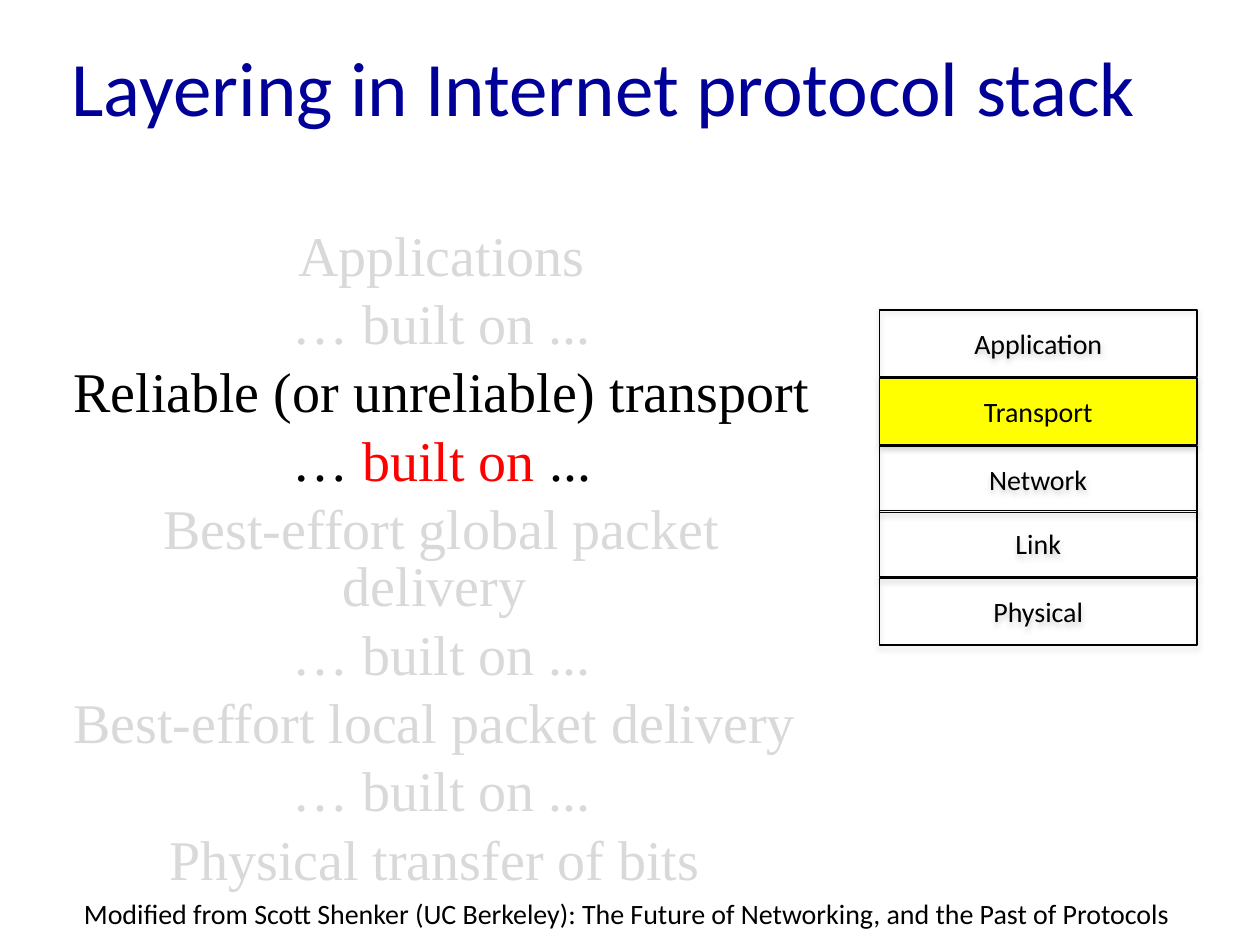
import pptx
import pptx.util
import pptx.dml.color
import pptx.enum.shapes
import pptx.enum.text
import pptx.oxml
from pptx.util import Inches

ALIGN = pptx.enum.text.PP_ALIGN
ANCHOR = pptx.enum.text.MSO_ANCHOR
SHADOW = (
    '<a:effectLst xmlns:a="http://schemas.openxmlformats.org/drawingml/2006/main">'
    '<a:outerShdw blurRad="39370" dist="22860" dir="5400000" rotWithShape="0">'
    '<a:srgbClr val="808080"><a:alpha val="35000"/></a:srgbClr>'
    '</a:outerShdw></a:effectLst>'
)


def rgb(color):
    return pptx.dml.color.RGBColor.from_string(color)


def add_run(p, text, size=16, font="Calibri", color="000000"):
    r = p.add_run()
    r.text = text
    r.font.size = pptx.util.Pt(size)
    r.font.name = font
    r.font.color.rgb = rgb(color)


prs = pptx.Presentation()
prs.slide_width, prs.slide_height = Inches(10), Inches(7.5)
s = prs.slides.add_slide(prs.slide_layouts[6])

title = s.shapes.add_textbox(Inches(0.47), Inches(0.12), Inches(9.25), Inches(1.12))
tf = title.text_frame
tf.word_wrap = True
tf.vertical_anchor = ANCHOR.MIDDLE
add_run(tf.paragraphs[0], "Layering in Internet protocol stack", size=44, color="000099")

GREY, BLACK, RED = "D9D9D9", "000000", "FF0000"
built_on = [("… built on ...", GREY)]
lines = [
    [("Applications", GREY)],
    built_on,
    [("Reliable (or unreliable) transport ", BLACK)],
    [("… ", BLACK), ("built on ", RED), ("...", BLACK)],
    [("Best-effort global packet delivery ", GREY)],
    built_on,
    [("Best-effort local packet delivery ", GREY)],
    built_on,
    [("Physical transfer of bits ", GREY)],
]
body = s.shapes.add_textbox(Inches(0.47), Inches(1.78), Inches(6.07), Inches(5.08))
tf = body.text_frame
tf.word_wrap = True
for i, line in enumerate(lines):
    p = tf.add_paragraph() if i else tf.paragraphs[0]
    p.alignment = ALIGN.CENTER
    p.line_spacing = 0.85
    p.space_before = pptx.util.Pt(6.4)
    for text, color in line:
        add_run(p, text, size=32, font="Times New Roman", color=color)

layers = [("Application", 2.46), ("Transport", 3), ("Network", 3.54), ("Link", 4.05), ("Physical", 4.59)]
for name, top in layers:
    sp = s.shapes.add_shape(
        pptx.enum.shapes.MSO_SHAPE.RECTANGLE,
        Inches(6.98), Inches(top), Inches(2.52), Inches(0.53),
    )
    if name == "Transport":
        sp.fill.solid()
        sp.fill.fore_color.rgb = rgb("FFFF00")
    else:
        sp.fill.background()
    sp.line.color.rgb = rgb(BLACK)
    sp.line.width = pptx.util.Pt(0.75)
    sp.element.spPr.append(pptx.oxml.parse_xml(SHADOW))
    tf = sp.text_frame
    tf.vertical_anchor = ANCHOR.MIDDLE
    p = tf.paragraphs[0]
    p.alignment = ALIGN.CENTER
    add_run(p, name)

credit = s.shapes.add_textbox(Inches(0.33), Inches(7.07), Inches(9.29), Inches(0.37))
tf = credit.text_frame
tf.word_wrap = True
p = tf.paragraphs[0]
p.alignment = ALIGN.CENTER
add_run(p, "Modified from Scott Shenker (UC Berkeley): The Future of Networking, and the Past of Protocols")

prs.save("out.pptx")
